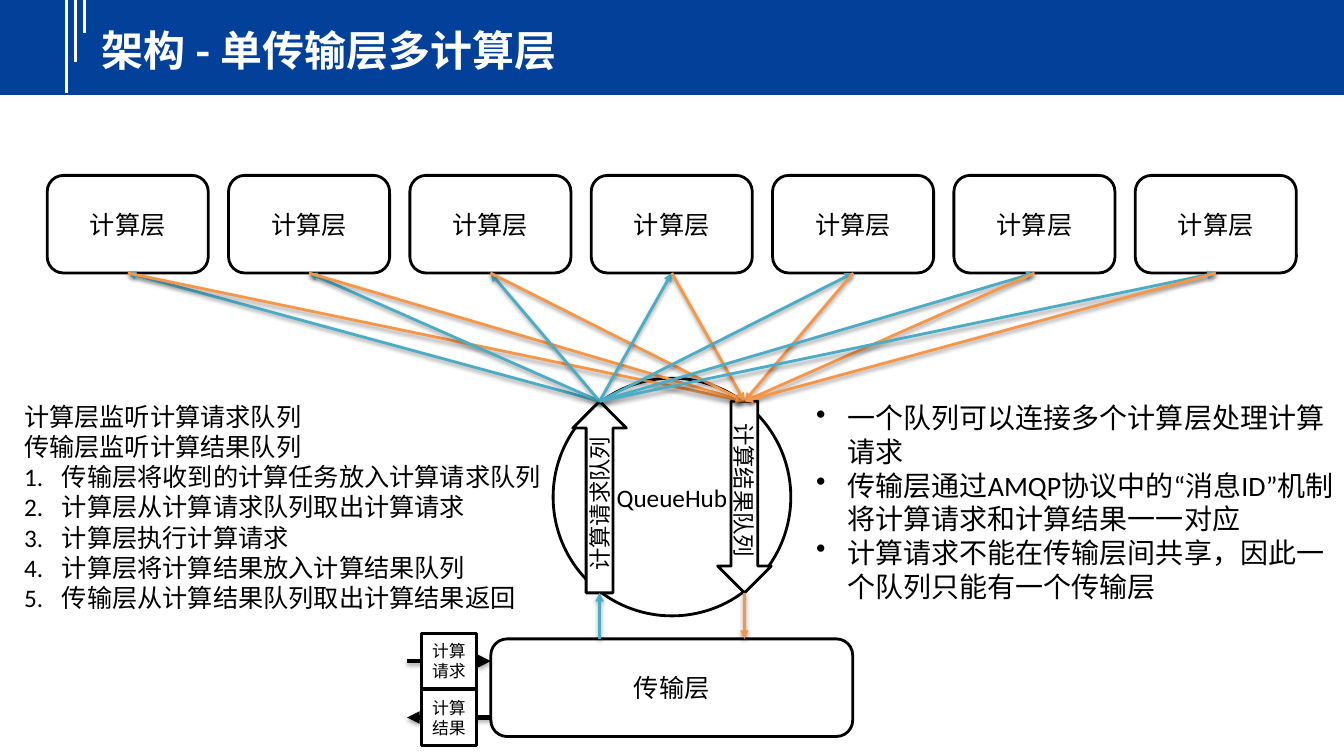
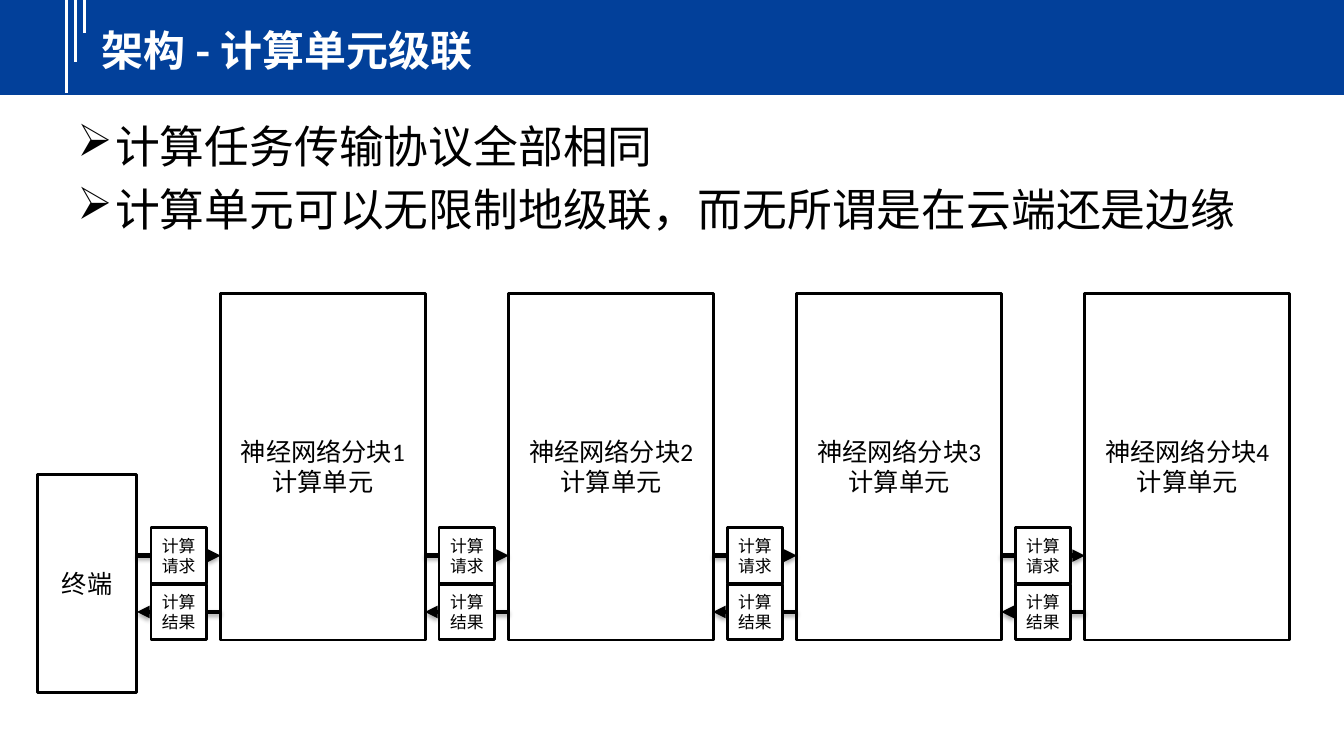
"""Build two architecture slides: queue fan-out and cascaded compute units."""
from lxml import etree
from pptx import Presentation
from pptx.dml.color import RGBColor
from pptx.enum.shapes import MSO_CONNECTOR as Connector, MSO_SHAPE as Preset
from pptx.enum.text import MSO_ANCHOR as Anchor, PP_ALIGN as Align
from pptx.oxml import parse_xml
from pptx.oxml.ns import nsdecls, qn
from pptx.util import Cm, Pt

COLORS = {"band": "02409A", "white": "FFFFFF", "black": "000000",
          "request": "4BACC6", "result": "F79646"}
BODY_FONT, TITLE_FONT = "Calibri", "Noto Sans CJK SC"
SLIDE_WIDTH, SLIDE_HEIGHT = 33.87, 19.05
BAND_HEIGHT = 2.39
BAND_RULES = [(1.68, 2.34), (1.91, 1.55), (2.13, 0.84)]

QUEUE_TITLE = "架构 - 单传输层多计算层"
LAYER_TEXT, LAYER_COUNT = "计算层", 7
TRANSPORT_TEXT, BROKER_TEXT = "传输层", "QueueHub"
QUEUES = {"request": "计算请求队列", "result": "计算结果队列"}
LISTENERS = ["计算层监听计算请求队列", "传输层监听计算结果队列"]
STEPS = ["传输层将收到的计算任务放入计算请求队列",
         "计算层从计算请求队列取出计算请求",
         "计算层执行计算请求",
         "计算层将计算结果放入计算结果队列",
         "传输层从计算结果队列取出计算结果返回"]
REMARKS = ["一个队列可以连接多个计算层处理计算请求",
           "传输层通过AMQP协议中的“消息ID”机制将计算请求和计算结果一一对应",
           "计算请求不能在传输层间共享，因此一个队列只能有一个传输层"]

CASCADE_TITLE = "架构 - 计算单元级联"
CASCADE_POINTS = ["计算任务传输协议全部相同",
                  "计算单元可以无限制地级联，而无所谓是在云端还是边缘"]
TERMINAL_TEXT, UNIT_TEXT = "终端", "计算单元"
BLOCKS = [f"神经网络分块{number}" for number in range(1, 5)]
MESSAGES = ["计算请求", "计算结果"]

LAYER_LEFT, LAYER_TOP, LAYER_PITCH = 1.19, 4.42, 4.57
LAYER_WIDTH, LAYER_HEIGHT = 4.06, 2.46
QUEUE_TOP, QUEUE_LENGTH, QUEUE_THICKNESS = 10.11, 4.83, 1.35
QUEUE_CENTERS = {"request": 15.11, "result": 18.76}
TRANSPORT = (12.37, 16.1, 9.12, 2.46)
BLOCK_LEFT, BLOCK_TOP, BLOCK_PITCH = 5.56, 7.39, 7.26
BLOCK_WIDTH, BLOCK_HEIGHT = 5.16, 8.74
EXCHANGE_GAP, MESSAGE_SIZE, MESSAGE_PITCH = 2.11, 1.4, 1.42

NUMBER = ("buAutoNum", {"type": "arabicPeriod"})
DOT = ("buChar", {"char": "•"})
CHEVRON = ("buChar", {"char": "➢"})


def rgb(name):
    return RGBColor.from_string(COLORS[name])


def write(paragraph, text, size, color="black", font=BODY_FONT, bold=False):
    run = paragraph.add_run()
    run.text = text
    run.font.size = Pt(size)
    run.font.bold = bold
    run.font.color.rgb = rgb(color)
    run.font.name = font
    etree.SubElement(run.font._element, qn("a:ea")).set("typeface", font)


def next_paragraph(frame, index):
    return frame.add_paragraph() if index else frame.paragraphs[0]


def set_bullet(paragraph, bullet, indent):
    tag, attributes = bullet
    properties = paragraph._p.get_or_add_pPr()
    properties.set("marL", str(Cm(indent)))
    properties.set("indent", str(-Cm(indent)))
    etree.SubElement(properties, qn("a:" + tag), attributes)


def add_text(slide, box, items, size, indent=0, space=0):
    frame = slide.shapes.add_textbox(*map(Cm, box)).text_frame
    frame.word_wrap = True
    for index, (text, bullet) in enumerate(items):
        paragraph = next_paragraph(frame, index)
        paragraph.space_before = Pt(space)
        if bullet:
            set_bullet(paragraph, bullet, indent)
        write(paragraph, text, size)


def add_box(slide, preset, box, lines, size=18, rotation=0):
    shape = slide.shapes.add_shape(preset, *map(Cm, box))
    shape.shadow.inherit = False
    shape.rotation = rotation
    shape.fill.solid()
    shape.fill.fore_color.rgb = rgb("white")
    shape.line.color.rgb = rgb("black")
    shape.line.width = Pt(2)
    frame = shape.text_frame
    frame.word_wrap = True
    frame.vertical_anchor = Anchor.MIDDLE
    for index, text in enumerate(lines):
        paragraph = next_paragraph(frame, index)
        paragraph.alignment = Align.CENTER
        write(paragraph, text, size)


def add_line(slide, start, end, color, width):
    line = slide.shapes.add_connector(Connector.STRAIGHT, *map(Cm, start + end))
    line.line.color.rgb = rgb(color)
    line.line.width = Pt(width)
    effects = etree.SubElement(line._element.spPr, qn("a:effectLst"))
    return line, effects


def add_arrow(slide, start, end, color, width=2, distance=1.57, opacity=38):
    line, effects = add_line(slide, start, end, color, width)
    etree.SubElement(line.line._get_or_add_ln(), qn("a:tailEnd")).set("type", "triangle")
    effects.append(parse_xml(
        f'<a:outerShdw {nsdecls("a")} blurRad="{Pt(3.15)}" dist="{Pt(distance)}" '
        f'dir="5400000" rotWithShape="0"><a:srgbClr val="{COLORS["black"]}">'
        f'<a:alpha val="{opacity * 1000}"/></a:srgbClr></a:outerShdw>'))


def add_exchange(slide, left, top):
    """Draw the request arrow above the result arrow, each with its message box."""
    right = left + EXCHANGE_GAP
    for index in range(len(MESSAGES)):
        y = top + index * MESSAGE_PITCH
        start, end = ((right, y), (left, y)) if index else ((left, y), (right, y))
        add_arrow(slide, start, end, "black", 3, 1.81, 35)
    for index, message in reversed(list(enumerate(MESSAGES))):
        box_left = left + (EXCHANGE_GAP - MESSAGE_SIZE) / 2
        box_top = top - MESSAGE_SIZE / 2 + index * MESSAGE_PITCH
        add_box(slide, Preset.RECTANGLE, (box_left, box_top, MESSAGE_SIZE, MESSAGE_SIZE),
                [message], 12)


def add_titled_slide(presentation, title):
    slide = presentation.slides.add_slide(presentation.slide_layouts[6])
    band = slide.shapes.add_shape(Preset.RECTANGLE, 0, 0, Cm(SLIDE_WIDTH), Cm(BAND_HEIGHT))
    band.shadow.inherit = False
    band.fill.solid()
    band.fill.fore_color.rgb = rgb("band")
    band.line.fill.background()
    for x, length in BAND_RULES:
        add_line(slide, (x, 0), (x, length), "white", 2.25)
    frame = slide.shapes.add_textbox(Cm(2.31), Cm(0.48), Cm(30.89), Cm(1.55)).text_frame
    frame.word_wrap = True
    frame.vertical_anchor = Anchor.MIDDLE
    write(frame.paragraphs[0], title, 30, "white", TITLE_FONT, True)
    return slide


def build_queue_slide(presentation):
    slide = add_titled_slide(presentation, QUEUE_TITLE)
    add_box(slide, Preset.OVAL, (13.94, 9.53, 5.99, 5.99), [BROKER_TEXT])
    queue_bottom = QUEUE_TOP + QUEUE_LENGTH
    for name, rotation in (("request", 270), ("result", 90)):
        left = QUEUE_CENTERS[name] - QUEUE_LENGTH / 2
        top = QUEUE_TOP + (QUEUE_LENGTH - QUEUE_THICKNESS) / 2
        add_box(slide, Preset.RIGHT_ARROW, (left, top, QUEUE_LENGTH, QUEUE_THICKNESS),
                [QUEUES[name]], 16, rotation)
    add_box(slide, Preset.ROUNDED_RECTANGLE, TRANSPORT, [TRANSPORT_TEXT])

    request_top, result_top = ((QUEUE_CENTERS[name], QUEUE_TOP) for name in QUEUES)
    for index in range(LAYER_COUNT):
        left = LAYER_LEFT + index * LAYER_PITCH
        add_box(slide, Preset.ROUNDED_RECTANGLE,
                (left, LAYER_TOP, LAYER_WIDTH, LAYER_HEIGHT), [LAYER_TEXT])
        port = (left + LAYER_WIDTH / 2, LAYER_TOP + LAYER_HEIGHT)
        add_arrow(slide, request_top, port, "request")
        add_arrow(slide, port, result_top, "result")
    request_x, result_x = QUEUE_CENTERS.values()
    add_arrow(slide, (request_x, TRANSPORT[1]), (request_x, queue_bottom), "request")
    add_arrow(slide, (result_x, queue_bottom), (result_x, TRANSPORT[1]), "result")

    steps = [(text, None) for text in LISTENERS] + [(text, NUMBER) for text in STEPS]
    add_text(slide, (0.36, 9.98, 13.56, 5.64), steps, 18, 0.95)
    add_text(slide, (20.32, 9.98, 13.56, 5.38), [(text, DOT) for text in REMARKS], 20, 0.79)
    add_exchange(slide, TRANSPORT[0] - EXCHANGE_GAP, 16.66)


def build_cascade_slide(presentation):
    slide = add_titled_slide(presentation, CASCADE_TITLE)
    add_text(slide, (1.7, 2.87, 30.48, 14.15),
             [(text, CHEVRON) for text in CASCADE_POINTS], 32, 0.95, 6.4)
    add_box(slide, Preset.RECTANGLE, (0.94, 11.96, 2.51, 5.49), [TERMINAL_TEXT])
    for index, block in enumerate(BLOCKS):
        left = BLOCK_LEFT + index * BLOCK_PITCH
        add_box(slide, Preset.RECTANGLE, (left, BLOCK_TOP, BLOCK_WIDTH, BLOCK_HEIGHT),
                [block, UNIT_TEXT])
        add_exchange(slide, left - EXCHANGE_GAP, 14)


presentation = Presentation()
presentation.slide_width, presentation.slide_height = Cm(SLIDE_WIDTH), Cm(SLIDE_HEIGHT)
build_queue_slide(presentation)
build_cascade_slide(presentation)
presentation.save("out.pptx")
